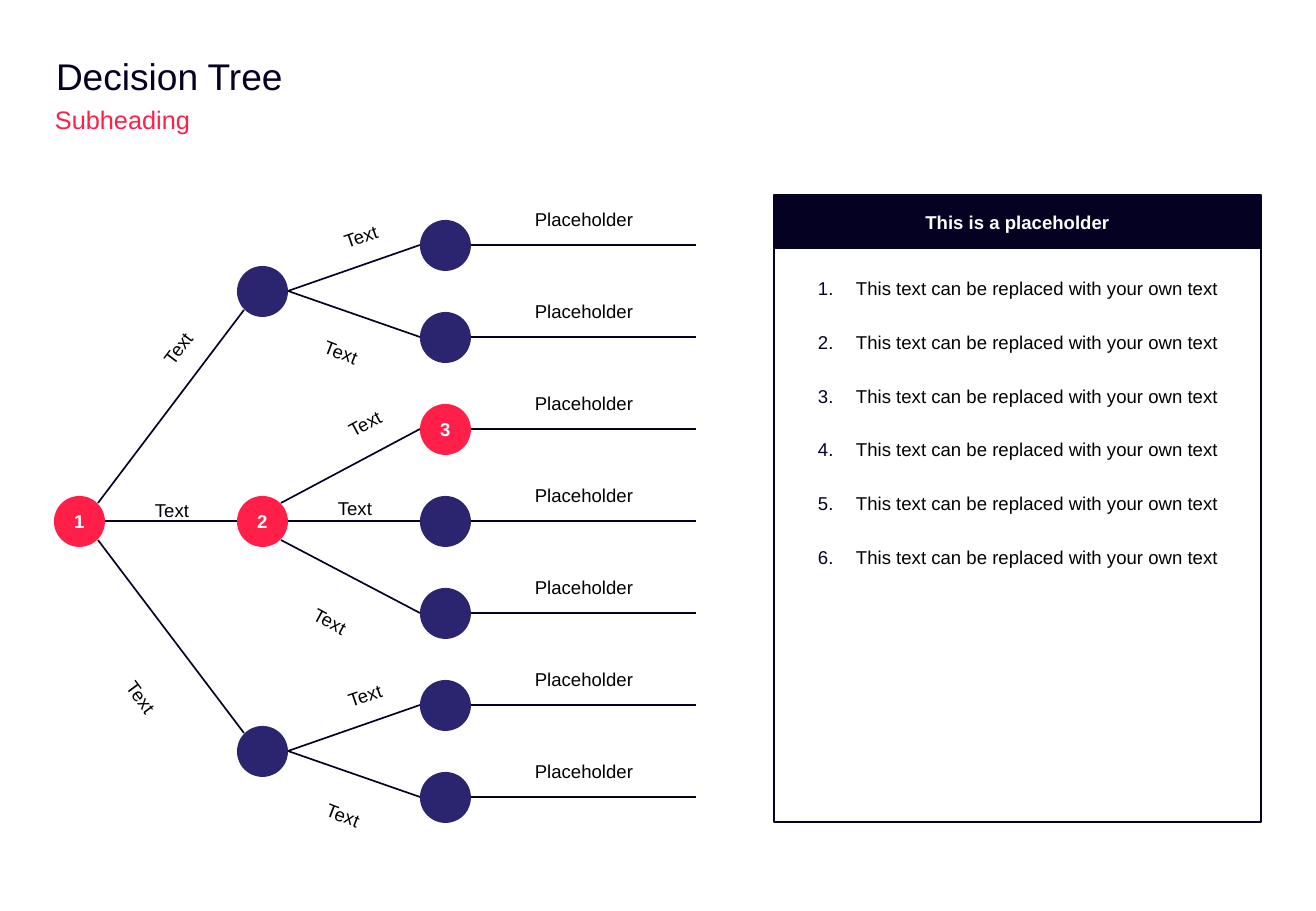
from lxml.etree import SubElement
from pptx import Presentation
from pptx.dml.color import RGBColor
from pptx.enum.shapes import MSO_CONNECTOR, MSO_SHAPE
from pptx.enum.text import MSO_ANCHOR, PP_ALIGN
from pptx.oxml.ns import qn
from pptx.util import Pt

PX = 7526  # EMU per px, 121.5 px to the inch
NAVY = RGBColor(0x04, 0x01, 0x23)
INDIGO = RGBColor(0x2B, 0x25, 0x6F)
RED = RGBColor(0xFF, 0x1F, 0x49)
WHITE = RGBColor(0xFF, 0xFF, 0xFF)
BLACK = RGBColor(0, 0, 0)

prs = Presentation()
prs.slide_width, prs.slide_height = 1316 * PX, 911 * PX
slide = prs.slides.add_slide(prs.slide_layouts[6])
shapes = slide.shapes


def write(shape, lines, size=11, color=BLACK, bold=False, align=PP_ALIGN.CENTER):
    """Fill a shape with one paragraph per line and return the paragraphs."""
    frame = shape.text_frame
    frame.word_wrap = True
    frame.margin_left = frame.margin_right = frame.margin_top = frame.margin_bottom = 0
    for index, line in enumerate(lines):
        paragraph = frame.add_paragraph() if index else frame.paragraphs[0]
        paragraph.alignment = align
        run = paragraph.add_run()
        run.text = line
        run.font.name, run.font.size = "Arial", Pt(size)
        run.font.bold, run.font.color.rgb = bold, color
    return frame.paragraphs


def add_filled(kind, left, top, width, height, fill, line=None):
    shape = shapes.add_shape(kind, left * PX, top * PX, width * PX, height * PX)
    shape.shadow.inherit = False
    shape.fill.solid()
    shape.fill.fore_color.rgb = fill
    if line is None:
        shape.line.fill.background()
    else:
        shape.line.color.rgb, shape.line.width = line, Pt(1)
    return shape


# Headings
title = shapes.add_textbox(56 * PX, 53 * PX, 1205 * PX, 45 * PX)
write(title, ["Decision Tree"], 22, NAVY, align=PP_ALIGN.LEFT)
subheading = shapes.add_textbox(55 * PX, 98 * PX, 431 * PX, 34 * PX)
write(subheading, ["Subheading"], 15, RED, align=PP_ALIGN.LEFT)[0].line_spacing = 1.2

# Side panel
add_filled(MSO_SHAPE.RECTANGLE, 774, 195, 487, 627, WHITE, NAVY)
panel_header = add_filled(MSO_SHAPE.RECTANGLE, 774, 195, 487, 54, NAVY)
panel_header.text_frame.vertical_anchor = MSO_ANCHOR.MIDDLE
write(panel_header, ["This is a placeholder"], color=WHITE, bold=True)

steps = shapes.add_textbox(818 * PX, 266 * PX, 444 * PX, 300 * PX)
step_lines = ["This text can be replaced with your own text"] * 6
for paragraph in write(steps, step_lines, align=PP_ALIGN.LEFT):
    paragraph.line_spacing, paragraph.space_after = 1.5, Pt(12)
    properties = paragraph._p.get_or_add_pPr()
    properties.set("marL", str(38 * PX))
    properties.set("indent", str(-38 * PX))
    bullet_color = SubElement(properties, qn("a:buClr"))
    SubElement(bullet_color, qn("a:srgbClr"), val=str(NAVY))
    SubElement(properties, qn("a:buFont"), typeface="Arial")
    SubElement(properties, qn("a:buAutoNum"), type="arabicPeriod")

# Tree nodes: left and top of each circle
NODE = 51
ROW = 92
root = (54, 496)
branches = [(237, 266), (237, 496), (237, 726)]
leaves = [(420, 220 + ROW * row) for row in range(7)]
node_numbers = {root: "1", branches[1]: "2", leaves[2]: "3"}
for node in [root, *branches, *leaves]:
    number = node_numbers.get(node)
    circle = add_filled(MSO_SHAPE.OVAL, *node, NODE, NODE, RED if number else INDIGO)
    if number:
        circle.text_frame.vertical_anchor = MSO_ANCHOR.MIDDLE
        write(circle, [number], color=WHITE, bold=True)

# Tree lines, each between a point on one circle and a point on the next
SITES = {"left": (0, 25), "right": (51, 25), "upper right": (44, 7),
         "lower right": (44, 44), "lower left": (7, 44), "upper left": (7, 7)}
links = [
    (root, "upper right", branches[0], "lower left"),
    (root, "right", branches[1], "left"),
    (root, "lower right", branches[2], "upper left"),
    (branches[0], "right", leaves[0], "left"),
    (branches[0], "right", leaves[1], "left"),
    (branches[1], "upper right", leaves[2], "left"),
    (branches[1], "right", leaves[3], "left"),
    (branches[1], "lower right", leaves[4], "left"),
    (branches[2], "right", leaves[5], "left"),
    (branches[2], "right", leaves[6], "left"),
]
segments = []
for parent, exit_site, child, entry_site in links:
    exit_x, exit_y = SITES[exit_site]
    entry_x, entry_y = SITES[entry_site]
    segments.append((parent[0] + exit_x, parent[1] + exit_y,
                     child[0] + entry_x, child[1] + entry_y))
for left, top in leaves:
    segments.append((left + NODE, top + 25, 696, top + 25))
for segment in segments:
    branch_line = shapes.add_connector(MSO_CONNECTOR.STRAIGHT, *(v * PX for v in segment))
    branch_line.line.color.rgb, branch_line.line.width = NAVY, Pt(1)
    SubElement(branch_line._element.spPr, qn("a:effectLst"))

# Outcome captions above the leaf lines
for _, top in leaves:
    outcome = shapes.add_textbox(518 * PX, (top - 12) * PX, 132 * PX, 23 * PX)
    write(outcome, ["Placeholder"])

# Branch labels: centre and rotation
branch_labels = [
    (178, 348, 306.9), (172, 510, 0), (141, 697, 53.6),
    (361, 236, 341.1), (341, 352, 21.3),
    (365, 423, 331.6), (355, 508, 0), (330, 621, 28.3),
    (365, 695, 341.1), (343, 815, 21.3),
]
for center_x, center_y, angle in branch_labels:
    label = shapes.add_textbox((center_x - 31) * PX, (center_y - 11) * PX, 62 * PX, 23 * PX)
    label.rotation = angle
    write(label, ["Text"])

prs.save("out.pptx")
